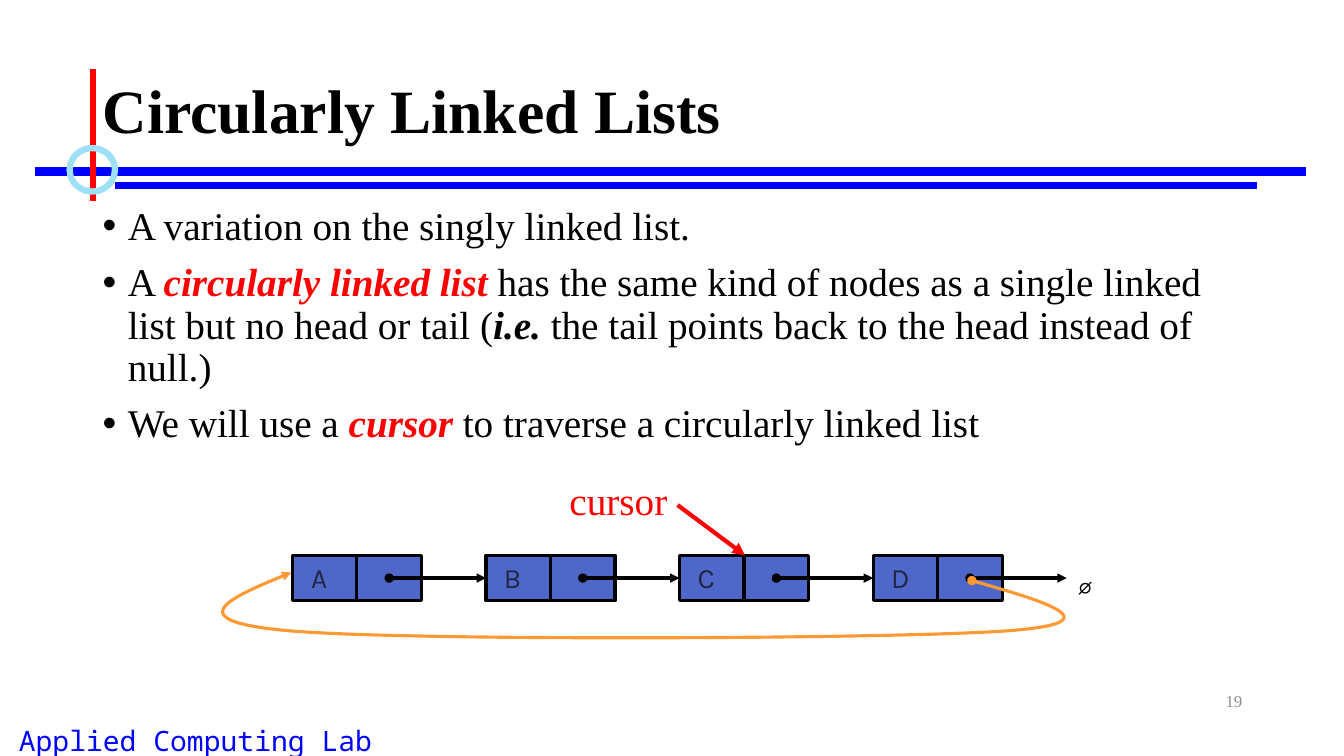
from lxml import etree
from pptx import Presentation
from pptx.dml.color import RGBColor
from pptx.enum.shapes import MSO_CONNECTOR, MSO_SHAPE
from pptx.enum.text import MSO_ANCHOR, PP_ALIGN
from pptx.oxml.ns import qn
from pptx.util import Inches, Pt

STRAIGHT = MSO_CONNECTOR.STRAIGHT
RECT, OVAL = MSO_SHAPE.RECTANGLE, MSO_SHAPE.OVAL
TOP, MIDDLE = MSO_ANCHOR.TOP, MSO_ANCHOR.MIDDLE
LEFT, CENTER, RIGHT = PP_ALIGN.LEFT, PP_ALIGN.CENTER, PP_ALIGN.RIGHT

SERIF, MONO, SANS = "Times New Roman", "Noto Sans Mono", "Karla"
BLACK, RED, BLUE, ORANGE = "000000", "FF0000", "0000FF", "FF9933"
CELL_W, CELL_H = 0.64, 0.45
NODE_X, NODE_Y, NODE_STEP = 2.9, 5.51, 1.92
LINK_Y = NODE_Y + CELL_H / 2

BULLETS = [
    [("A variation on the singly linked list.", None)],
    [("A ", None), ("circularly linked list ", RED),
     ("has the same kind of nodes as a single linked list but no head or tail (", None),
     ("i.e.", BLACK), (" the tail points back to the head instead of null.)", None)],
    [("We will use a ", None), ("cursor", RED),
     (" to traverse a circularly linked list", None)],
]


def rgb(color):
    return RGBColor.from_string(color)


def style_font(font, size, name, color, bold=False, italic=False):
    font.size, font.name = Pt(size), name
    font.bold, font.italic = bold, italic
    font.color.rgb = rgb(color)


def style_line(line, color, width, head=None, tail=None):
    line.color.rgb = rgb(color)
    line.width = Pt(width)
    ln = line._get_or_add_ln()
    for tag, kind in (("a:headEnd", head), ("a:tailEnd", tail)):
        if kind:
            etree.SubElement(ln, qn(tag)).set("type", kind)


def add_text_box(s, box, anchor=TOP, wrap=True):
    sp = s.shapes.add_textbox(*map(Inches, box))
    tf = sp.text_frame
    tf.word_wrap = wrap
    tf.vertical_anchor = anchor
    return tf


def add_label(s, box, text, size, name, color, align=LEFT, anchor=TOP,
              wrap=True, bold=False):
    tf = add_text_box(s, box, anchor, wrap)
    tf.text = text
    p = tf.paragraphs[0]
    p.alignment = align
    style_font(p.runs[0].font, size, name, color, bold)
    return p


def add_line(s, start, end, color, width, head=None, tail=None):
    line = s.shapes.add_connector(STRAIGHT, *map(Inches, start + end))
    style_line(line.line, color, width, head, tail)
    etree.SubElement(line._element.spPr, qn("a:effectLst"))
    return line


def add_shape(s, kind, box, color, width, fill=None):
    sp = s.shapes.add_shape(kind, *map(Inches, box))
    sp.shadow.inherit = False
    if fill:
        sp.fill.solid()
        sp.fill.fore_color.rgb = rgb(fill)
    else:
        sp.fill.background()
    style_line(sp.line, color, width)
    return sp


def add_bullets(s, box, items):
    tf = add_text_box(s, box)
    for i, parts in enumerate(items):
        p = tf.paragraphs[0] if i == 0 else tf.add_paragraph()
        p.line_spacing = 0.9
        p.space_before = Pt(10 if i else 0)
        pPr = p._p.get_or_add_pPr()
        pPr.set("marL", str(Inches(0.25)))
        pPr.set("indent", str(-Inches(0.25)))
        etree.SubElement(pPr, qn("a:buFont")).set("typeface", "Arial")
        etree.SubElement(pPr, qn("a:buChar")).set("char", "•")
        for text, accent in parts:
            r = p.add_run()
            r.text = text
            emphasis = accent is not None
            style_font(r.font, 28, SERIF, accent or BLACK, emphasis, emphasis)


def bezier(points, t):
    weights = ((1 - t) ** 3, 3 * t * (1 - t) ** 2, 3 * t * t * (1 - t), t ** 3)
    return tuple(Inches(sum(w * pt[axis] for w, pt in zip(weights, points)))
                 for axis in (0, 1))


def add_curve(s, start, curves, color, width, steps=24):
    points, origin = [], start
    for curve in curves:
        points += [bezier((origin, *curve), i / steps) for i in range(1, steps + 1)]
        origin = curve[-1]
    fb = s.shapes.build_freeform(*map(Inches, start))
    fb.add_line_segments(points, close=False)
    sp = fb.convert_to_shape()
    sp.shadow.inherit = False
    sp.fill.background()
    style_line(sp.line, color, width, "oval", "triangle")


def add_node(s, x, name):
    cells = [add_shape(s, RECT, (left, NODE_Y, CELL_W, CELL_H), BLACK, 2.25, "4E67C8")
             for left in (x, x + CELL_W)]
    add_label(s, (x + 0.08, NODE_Y, 0.37, 0.43), name, 20, SANS, "212745",
              CENTER, wrap=False)
    return cells[0]


def add_linked_list(s, names):
    xs = [NODE_X + i * NODE_STEP for i in range(len(names))]
    nodes = [add_node(s, x, name) for x, name in zip(xs, names)]
    for x, target in zip(xs, nodes[1:] + [None]):
        link = add_line(s, (x + 1.5 * CELL_W, LINK_Y), (x + NODE_STEP, LINK_Y),
                        BLACK, 2.25, "oval", "triangle")
        if target is not None:
            link.end_connect(target, 1)


def add_frame(s):
    add_label(s, (0, 7.13, 3.88, 0.43), "Applied Computing Lab", 20, MONO, BLUE, CENTER)
    add_line(s, (0.35, 1.7), (12.95, 1.7), BLUE, 6)
    add_line(s, (1.14, 1.84), (12.47, 1.84), BLUE, 4.5)
    add_line(s, (0.92, 0.68), (0.92, 1.99), RED, 4.5)
    add_shape(s, OVAL, (0.69, 1.47, 0.45, 0.43), "9EE0F8", 4.5)
    add_label(s, (9.42, 6.75, 3, 0.4), "19", 12, SERIF, "8C8C8C", RIGHT, MIDDLE)


def main():
    prs = Presentation()
    prs.slide_width, prs.slide_height = Inches(13.33), Inches(7.5)
    s = prs.slides.add_slide(prs.slide_layouts[6])
    add_frame(s)
    title = add_label(s, (0.92, 0.4, 11.5, 1.45), "Circularly Linked Lists", 44,
                      SERIF, BLACK, anchor=MIDDLE, bold=True)
    title.line_spacing = 0.9
    add_bullets(s, (0.92, 2, 11.5, 4.76), BULLETS)
    add_linked_list(s, "ABCD")
    add_label(s, (10.55, 5.59, 0.43, 0.43), "∅", 20, SANS, BLACK, CENTER, wrap=False)
    add_curve(s, (9.64, 5.76), [
        ((10.37, 5.97), (11.1, 6.18), (9.97, 6.26)),
        ((8.85, 6.34), (4.07, 6.36), (2.89, 6.26)),
        ((1.71, 6.16), (2.3, 5.92), (2.89, 5.68)),
    ], ORANGE, 2.25)
    add_label(s, (5.55, 4.68, 1.27, 0.57), "cursor", 28, SERIF, RED)
    add_line(s, (6.72, 5.01), (7.39, NODE_Y), RED, 3, tail="triangle")
    prs.save("out.pptx")


if __name__ == "__main__":
    main()
